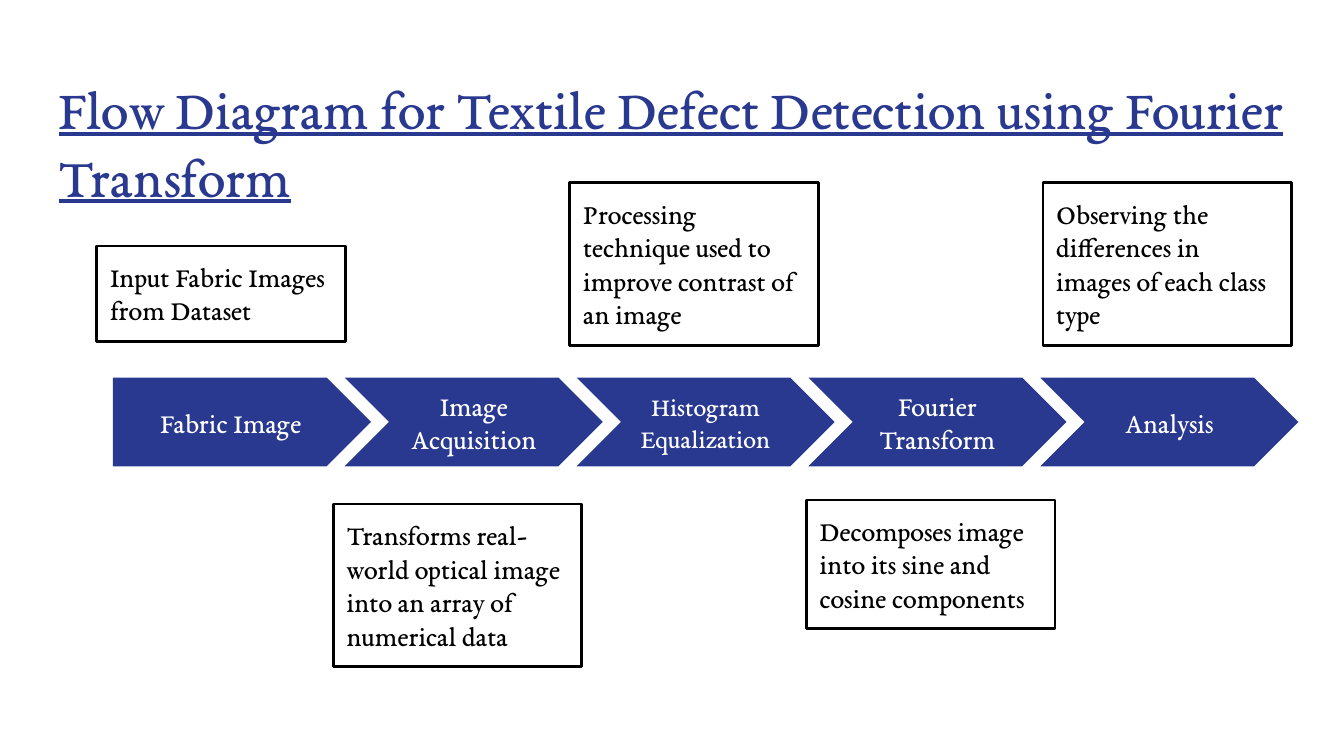
from pptx import Presentation
from pptx.dml.color import RGBColor
from pptx.enum.shapes import MSO_SHAPE
from pptx.enum.text import MSO_ANCHOR, MSO_AUTO_SIZE, PP_ALIGN
from pptx.util import Inches, Pt

FONT, BLUE, BLACK, WHITE = "EB Garamond", "2A3990", "000000", "FFFFFF"
TITLE = "Flow Diagram for Textile Defect Detection using Fourier Transform"

# step, its text size, note, top of the note, lines in the note
STEPS = [
    ("Fabric Image", 15, "Input Fabric Images from Dataset", 1.83, 2),
    ("Image Acquisition", 15,
     "Transforms real-world optical image into an array of numerical data", 3.75, 4),
    ("Histogram Equalization", 14,
     "Processing technique used to improve contrast of an image", 1.36, 4),
    ("Fourier Transform", 15,
     "Decomposes image into its sine and cosine components", 3.72, 3),
    ("Analysis", 15,
     "Observing the differences in images of each class type", 1.36, 4),
]
WIDTH = 10
HEIGHT = WIDTH * 9 / 16
STEP_LEFT, STEP_LAST, STEP_TOP, STEP_W, STEP_H = 0.84, 7.74, 2.81, 1.92, 0.66
STEP_GAP = (STEP_LAST - STEP_LEFT) / (len(STEPS) - 1)
NOTE_LEFT, NOTE_GAP, NOTE_W = 0.72, 1.76, 1.85
PAD, LINE_H = 0.1, 0.25


def rgb(code):
    return RGBColor.from_string(code)


def write(shape, text, size=15, color=BLACK, pad=PAD, align=PP_ALIGN.LEFT,
          anchor=MSO_ANCHOR.TOP, fit=MSO_AUTO_SIZE.NONE, under=None):
    frame = shape.text_frame
    frame.word_wrap = True
    frame.auto_size = fit
    frame.vertical_anchor = anchor
    frame.margin_left = frame.margin_right = Inches(pad)
    frame.margin_top = frame.margin_bottom = Inches(pad)
    para = frame.paragraphs[0]
    para.alignment = align
    run = para.add_run()
    run.text = text
    font = run.font
    font.name, font.size, font.underline = FONT, Pt(size), under
    font.color.rgb = rgb(color)


def draw(slide, kind, *box, fill=None, line=None):
    shape = slide.shapes.add_shape(kind, *map(Inches, box))
    shape.shadow.inherit = False
    if fill:
        shape.fill.solid()
        shape.fill.fore_color.rgb = rgb(fill)
    else:
        shape.fill.background()
    if line:
        shape.line.color.rgb = rgb(line)
        shape.line.width = Pt(1.5)
    else:
        shape.line.fill.background()
    return shape


def main():
    deck = Presentation()
    deck.slide_width, deck.slide_height = Inches(WIDTH), Inches(HEIGHT)
    slide = deck.slides.add_slide(deck.slide_layouts[6])

    title = slide.shapes.add_textbox(*map(Inches, (0.34, 0.45, 9.32, 0.66)))
    write(title, TITLE, size=30, color=BLUE, under=True)

    for i, (step, size, *_) in enumerate(STEPS):
        kind = MSO_SHAPE.CHEVRON if i else MSO_SHAPE.PENTAGON
        arrow = draw(slide, kind, STEP_LEFT + i * STEP_GAP, STEP_TOP,
                     STEP_W, STEP_H, fill=BLUE)
        write(arrow, step, size=size, color=WHITE, pad=0.13,
              align=PP_ALIGN.CENTER, anchor=MSO_ANCHOR.MIDDLE)

    for i, (*_, note, top, lines) in enumerate(STEPS):
        box = draw(slide, MSO_SHAPE.RECTANGLE, NOTE_LEFT + i * NOTE_GAP, top,
                   NOTE_W, 2 * PAD + lines * LINE_H + 0.01, line=BLACK)
        write(box, note, fit=MSO_AUTO_SIZE.SHAPE_TO_FIT_TEXT)

    deck.save("out.pptx")


if __name__ == "__main__":
    main()
